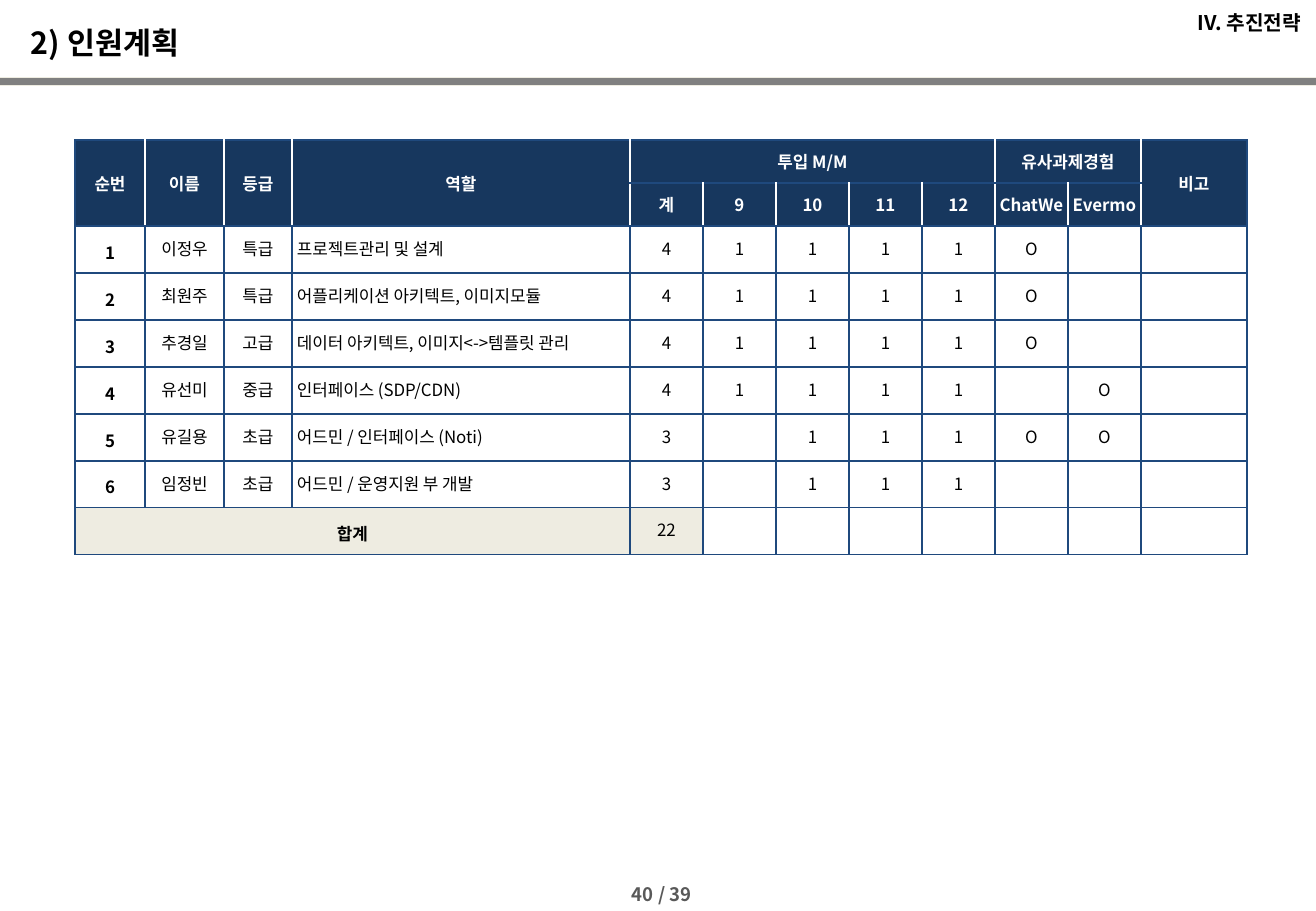
"""Build the staffing plan slide with its monthly effort table."""
from lxml.etree import SubElement
from pptx import Presentation
from pptx.dml.color import RGBColor
from pptx.enum.shapes import MSO_SHAPE
from pptx.enum.text import MSO_ANCHOR, PP_ALIGN
from pptx.oxml import parse_xml
from pptx.oxml.ns import nsdecls, qn
from pptx.util import Pt

PX = 7526
FONT = "Noto Sans CJK KR"
BLUE, NAVY, WHITE, BEIGE, BLACK = "1F497D", "17375E", "FFFFFF", "EEECE1", "000000"


def color(value):
    return RGBColor.from_string(value)


def write(paragraph, text, size, value, bold, **formats):
    for name, setting in formats.items():
        setattr(paragraph, name, setting)
    if not text:
        SubElement(paragraph._p, qn("a:endParaRPr"), sz=str(size * 100))
        return
    run = paragraph.add_run()
    run.text = text
    for name, setting in {"size": Pt(size), "bold": bold, "name": FONT}.items():
        setattr(run.font, name, setting)
    run.font.color.rgb = color(value)
    SubElement(run._r.get_or_add_rPr(), qn("a:ea"), typeface=FONT)


presentation = Presentation()
presentation.slide_width = 1316 * PX
presentation.slide_height = 911 * PX
slide = presentation.slides.add_slide(presentation.slide_layouts[6])

bar = slide.shapes.add_shape(MSO_SHAPE.RECTANGLE, -8 * PX, 77 * PX, 1325 * PX, 8 * PX)
bar.shadow.inherit = False
bar.fill.solid()
bar.fill.fore_color.rgb = color("808080")
bar.line.color.rgb = color(BEIGE)
bar.line.width = Pt(0.5)

labels = [
    ("40 / 39", (620, 877, 120, 35), 11, "595959", MSO_ANCHOR.TOP, {}),
    ("2) 인원계획", (19, 17, 827, 51), 18, BLACK, MSO_ANCHOR.MIDDLE, {}),
    ("IV. 추진전략", (1024, 0, 289, 41), 12, BLACK, MSO_ANCHOR.MIDDLE,
     {"alignment": PP_ALIGN.RIGHT, "line_spacing": 1.2}),
]
for text, box, size, value, anchor, formats in labels:
    shape = slide.shapes.add_textbox(*(length * PX for length in box))
    shape.text_frame.word_wrap = True
    shape.text_frame.vertical_anchor = anchor
    write(shape.text_frame.paragraphs[0], text, size, value, True, **formats)

rows = [
    ["순번", "이름", "등급", "역할", "투입 M/M", "", "", "", "", "유사과제경험", "", "비고"],
    ["", "", "", "", "계", "9", "10", "11", "12", "ChatWe", "Evermo", ""],
    ["1", "이정우", "특급", "프로젝트관리 및 설계", "4", "1", "1", "1", "1", "O", "", ""],
    ["2", "최원주", "특급", "어플리케이션 아키텍트, 이미지모듈", "4", "1", "1", "1", "1", "O", "", ""],
    ["3", "추경일", "고급", "데이터 아키텍트, 이미지<->템플릿 관리", "4", "1", "1", "1", "1", "O", "", ""],
    ["4", "유선미", "중급", "인터페이스 (SDP/CDN)", "4", "1", "1", "1", "1", "", "O", ""],
    ["5", "유길용", "초급", "어드민 / 인터페이스 (Noti)", "3", "", "1", "1", "1", "O", "O", ""],
    ["6", "임정빈", "초급", "어드민 / 운영지원 부 개발", "3", "", "1", "1", "1", "", "", ""],
    ["합계", "", "", "", "22", "", "", "", "", "", "", ""],
]
widths = [70, 79, 68, 338] + [73] * 7 + [106]
heights = [43] * 2 + [47] * 7
total_row, role_column, last_column = len(rows) - 1, 3, len(widths) - 1

frame = slide.shapes.add_table(len(rows), len(widths), 75 * PX, 140 * PX,
                               sum(widths) * PX, sum(heights) * PX)
table = frame.table
table.first_row = table.horz_banding = False
for column, width in zip(table.columns, widths):
    column.width = width * PX
for row, height in zip(table.rows, heights):
    row.height = height * PX

for row_index, texts in enumerate(rows):
    header = row_index < 2
    for column_index, text in enumerate(texts):
        cell = table.cell(row_index, column_index)
        number = column_index == 0
        centered = header or number
        inset = 0 if header else 5 * PX
        for side in ("left", "top", "right", "bottom"):
            setattr(cell, f"margin_{side}", inset)
        cell.vertical_anchor = MSO_ANCHOR.MIDDLE if centered else MSO_ANCHOR.TOP

        total = row_index == total_row and column_index <= role_column + 1
        if header or total:
            cell.fill.solid()
            cell.fill.fore_color.rgb = color(NAVY if header else BEIGE)
        else:
            cell.fill.background()

        role = column_index == role_column and not header
        write(cell.text_frame.paragraphs[0], text, 10, WHITE if header else BLACK, centered,
              alignment=PP_ALIGN.LEFT if role else PP_ALIGN.CENTER,
              line_spacing=1.0 if header else 1.2)

        borders = {
            "L": WHITE if header and column_index > 0 else BLUE,
            "R": WHITE if header and column_index < last_column else BLUE,
            "T": BLUE,
            "B": BLUE,
        }
        for position, (side, value) in enumerate(borders.items()):
            line = parse_xml(f'<a:ln{side} {nsdecls("a")} w="12700"><a:solidFill>'
                             f'<a:srgbClr val="{value}"/></a:solidFill></a:ln{side}>')
            cell._tc.get_or_add_tcPr().insert(position, line)

merges = [(0, column, 1, column) for column in (0, 1, 2, role_column, last_column)]
merges += [(0, 4, 0, 8), (0, 9, 0, 10), (total_row, 0, total_row, role_column)]
for top, left, bottom, right in merges:
    table.cell(top, left).merge(table.cell(bottom, right))

presentation.save("out.pptx")
